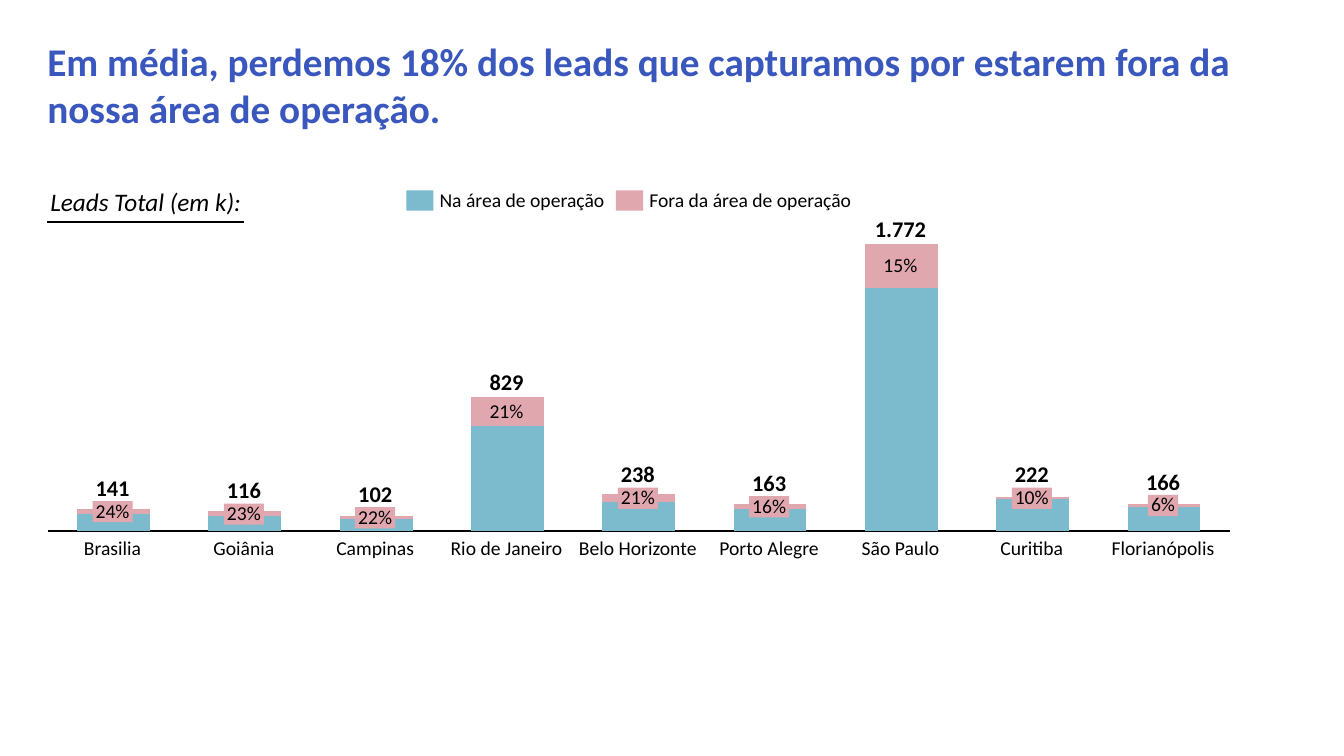
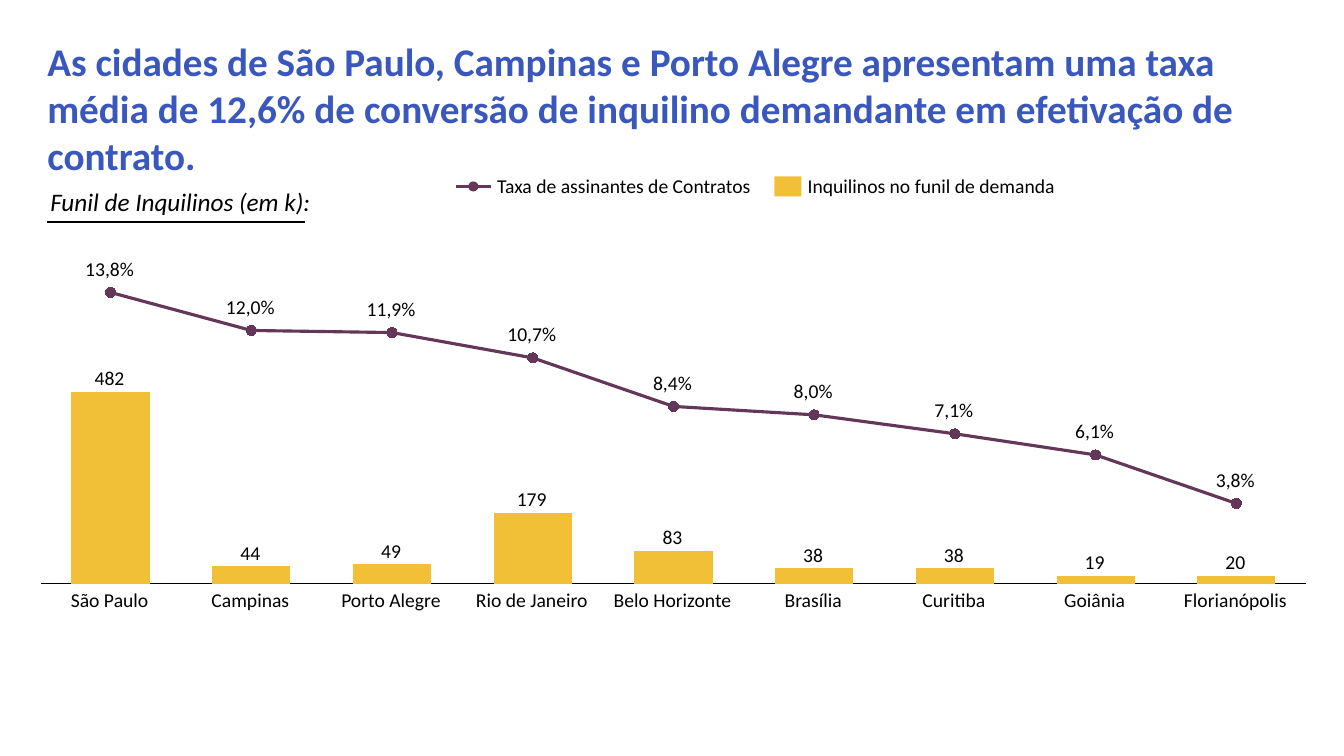
"""Build two slides on leads by city and tenant conversion by city."""
from dataclasses import dataclass

from pptx import Presentation
from pptx.chart.data import CategoryChartData
from pptx.dml.color import RGBColor
from pptx.enum.chart import XL_CHART_TYPE, XL_MARKER_STYLE, XL_TICK_LABEL_POSITION, XL_TICK_MARK
from pptx.enum.shapes import MSO_CONNECTOR, MSO_SHAPE
from pptx.enum.text import MSO_ANCHOR, MSO_AUTO_SIZE, PP_ALIGN
from pptx.oxml import parse_xml
from pptx.oxml.ns import nsdecls, qn
from pptx.util import Inches, Pt

LEFT, CENTER = PP_ALIGN.LEFT, PP_ALIGN.CENTER
TOP, MIDDLE, BOTTOM = MSO_ANCHOR.TOP, MSO_ANCHOR.MIDDLE, MSO_ANCHOR.BOTTOM
RECTANGLE, OVAL = MSO_SHAPE.RECTANGLE, MSO_SHAPE.OVAL
STRAIGHT = MSO_CONNECTOR.STRAIGHT
STACKED = XL_CHART_TYPE.COLUMN_STACKED
CIRCLE = XL_MARKER_STYLE.CIRCLE
NO_LABELS, NO_TICKS = XL_TICK_LABEL_POSITION.NONE, XL_TICK_MARK.NONE


@dataclass(frozen=True)
class Theme:
    """Colours, font and type sizes."""
    font: str = "Calibri"
    title: str = "3957BD"
    ink: str = "000000"
    paper: str = "FFFFFF"
    inside: str = "7CBBCE"
    outside: str = "E1A7AF"
    funnel: str = "F2C037"
    rate: str = "633758"
    title_size: int = 28
    heading_size: int = 18
    total_size: int = 16
    label_size: int = 14
    chart_size: int = 10


THEME = Theme()
SLIDE_W, SLIDE_H = 13.33, 7.5
ROW, TOTAL_ROW = 0.21, 0.24
GAP, MARKER_GAP = 0.02, 0.12
KEY_W, KEY_H, DOT = 0.27, 0.2, 0.1

LEADS = {
    "title": "Em média, perdemos 18% dos leads que capturamos por estarem fora da nossa área de operação.",
    "title_height": 1.04,
    "heading": "Leads Total (em k):",
    "rule_end": 2.42,
    "legend_y": 1.99,
    "legend": [("Na área de operação", 4.03, 1.63, THEME.inside, False),
               ("Fora da área de operação", 6.11, 2.0, THEME.outside, False)],
    "frame": (0.38, 2.33, 11.9, 3.03),
    "plot": (0.008, 0.03, 0.985, 0.94),
    "maximum": 118,
    "city_top": 5.34,
}
LEADS_CITIES = [
    ("Brasilia", 7, 2, 141, 24), ("Goiânia", 6, 2, 116, 23), ("Campinas", 5, 1, 102, 22),
    ("Rio de Janeiro", 43, 12, 829, 21), ("Belo Horizonte", 12, 3, 238, 21),
    ("Porto Alegre", 9, 2, 163, 16), ("São Paulo", 100, 18, 1772, 15),
    ("Curitiba", 13, 1, 222, 10), ("Florianópolis", 10, 1, 166, 6),
]
TENANTS = {
    "title": "As cidades de São Paulo, Campinas e Porto Alegre apresentam uma taxa média de 12,6% "
             "de conversão de inquilino demandante em efetivação de contrato.",
    "title_height": 1.51,
    "heading": "Funil de Inquilinos (em k):",
    "rule_end": 3.03,
    "legend_y": 1.85,
    "legend": [("Taxa de assinantes de Contratos", 4.52, 2.52, THEME.rate, True),
               ("Inquilinos no funil de demanda", 7.68, 2.45, THEME.funnel, False)],
    "frame": (0.31, 2.35, 12.74, 3.53),
    "plot": (0.007, 0.026, 0.986, 0.949),
    "maximum": 176,
    "city_top": 5.86,
}
RATE_MAXIMUM = 16
TENANT_CITIES = [
    ("São Paulo", 100, 482, 13.8), ("Campinas", 9, 44, 12.0), ("Porto Alegre", 10, 49, 11.9),
    ("Rio de Janeiro", 37, 179, 10.7), ("Belo Horizonte", 17, 83, 8.4), ("Brasília", 8, 38, 8.0),
    ("Curitiba", 8, 38, 7.1), ("Goiânia", 4, 19, 6.1), ("Florianópolis", 4, 20, 3.8),
]
CITY_WIDTHS = {
    "Brasilia": 0.58, "Brasília": 0.58, "Goiânia": 0.62, "Campinas": 0.79, "Rio de Janeiro": 1.12,
    "Belo Horizonte": 1.18, "Porto Alegre": 1.0, "São Paulo": 0.78, "Curitiba": 0.64,
    "Florianópolis": 1.03,
}


def rgb(colour):
    """Turn a hex string into a colour."""
    return RGBColor.from_string(colour)


def inches(*lengths):
    """Turn plain numbers into lengths."""
    return [Inches(length) for length in lengths]


def write(holder, words, size=THEME.label_size, colour=THEME.ink, bold=False, italic=False,
          align=LEFT, anchor=TOP, inset=0, spacing=0.9, wrap=False, grow=False):
    """Fill a shape with one formatted paragraph."""
    frame = holder.text_frame
    frame.word_wrap = wrap
    frame.auto_size = MSO_AUTO_SIZE.SHAPE_TO_FIT_TEXT if grow else MSO_AUTO_SIZE.NONE
    frame.vertical_anchor = anchor
    frame.margin_left = frame.margin_right = Inches(inset)
    frame.margin_top = frame.margin_bottom = Inches(0.05 if grow else 0)
    paragraph = frame.paragraphs[0]
    paragraph.alignment = align
    paragraph.line_spacing = spacing
    run = paragraph.add_run()
    run.text = words
    font = run.font
    font.name, font.size, font.bold, font.italic = THEME.font, Pt(size), bold, italic
    font.color.rgb = rgb(colour)


def add_text(slide, words, x, y, width, height, **style):
    """Add a text box."""
    write(slide.shapes.add_textbox(*inches(x, y, width, height)), words, **style)


def add_block(slide, kind, x, y, width, height, colour):
    """Add a flat filled shape."""
    block = slide.shapes.add_shape(kind, *inches(x, y, width, height))
    block.shadow.inherit = False
    block.fill.solid()
    block.fill.fore_color.rgb = rgb(colour)
    block.line.fill.background()
    return block


def add_rule(slide, start, end, y, colour, weight):
    """Add a horizontal line."""
    rule = slide.shapes.add_connector(STRAIGHT, *inches(start, y, end, y))
    rule.line.color.rgb = rgb(colour)
    rule.line.width = Pt(weight)
    rule._element.spPr.append(parse_xml(f"<a:effectLst {nsdecls('a')}/>"))


def label_width(words, size):
    """Estimate the width of a numeric label with its side insets."""
    ems = sum({"%": 0.72, ",": 0.25, ".": 0.25}.get(mark, 0.507) for mark in words)
    return ems * size / 72 + 0.06


def add_number(slide, words, center, bottom, fill=None, size=THEME.label_size, height=ROW,
               anchor=BOTTOM, bold=False):
    """Add a centred numeric label, optionally on a filled block."""
    width = label_width(words, size)
    box = (center - width / 2, bottom - height, width, height)
    style = dict(size=size, bold=bold, align=CENTER, anchor=anchor, inset=0.03)
    if fill:
        write(add_block(slide, RECTANGLE, *box, fill), words, **style)
    else:
        add_text(slide, words, *box, **style)


def start_slide(deck, content):
    """Add a slide with its title, underlined heading and legend."""
    slide = deck.slides.add_slide(deck.slide_layouts.get_by_name("Title Only"))
    title = slide.shapes.title
    title.left, title.top, title.width, title.height = inches(0.37, 0.32, 12.6, content["title_height"])
    running = dict(inset=0.1, spacing=1.0, wrap=True, grow=True)
    write(title, content["title"], size=THEME.title_size, colour=THEME.title, bold=True, **running)
    add_text(slide, content["heading"], 0.4, 1.8, 3.02, 0.4, size=THEME.heading_size, italic=True, **running)
    add_rule(slide, 0.47, content["rule_end"], 2.2, THEME.ink, 1.5)
    middle = content["legend_y"]
    for words, x, width, colour, is_line in content["legend"]:
        key_width = 0.35 if is_line else KEY_W
        if is_line:
            add_rule(slide, x, x + key_width, middle, colour, 2.25)
            add_block(slide, OVAL, x + (key_width - DOT) / 2, middle - DOT / 2, DOT, DOT, colour)
        else:
            add_block(slide, RECTANGLE, x, middle - KEY_H / 2, key_width, KEY_H, colour)
        add_text(slide, words, x + key_width + 0.06, middle - ROW / 2 + 0.01, width, ROW, anchor=MIDDLE)
    return slide


def style_axis(axis, colour):
    """Strip an axis down to its line."""
    axis.has_major_gridlines = False
    axis.tick_label_position = NO_LABELS
    axis.major_tick_mark = axis.minor_tick_mark = NO_TICKS
    axis.format.line.color.rgb = rgb(colour)
    axis.format.line.width = Pt(0.75)


def add_columns(slide, content, columns, colours):
    """Add a stacked column chart with a fixed plot area."""
    data = CategoryChartData()
    data.categories = [str(number + 1) for number in range(len(columns[0]))]
    for number, values in enumerate(columns, 1):
        data.add_series(f"Series {number}", values)
    chart = slide.shapes.add_chart(STACKED, *inches(*content["frame"]), data).chart
    chart.has_title = chart.has_legend = False
    chart.font.name, chart.font.size = THEME.font, Pt(THEME.chart_size)
    chart.font.color.rgb = rgb(THEME.ink)
    style_axis(chart.category_axis, THEME.ink)
    style_axis(chart.value_axis, THEME.paper)
    chart.value_axis.minimum_scale, chart.value_axis.maximum_scale = 0, content["maximum"]
    bars = chart.plots[0]
    bars.gap_width, bars.overlap, bars.vary_by_categories = 80, 100, False
    for series, colour in zip(bars.series, colours):
        series.format.fill.solid()
        series.format.fill.fore_color.rgb = rgb(colour)
    area = chart._chartSpace.chart.plotArea
    for layout in area.findall(qn("c:layout")):
        area.remove(layout)
    places = "".join(f'<c:{tag} val="{share}"/>' for tag, share in zip("xywh", content["plot"]))
    area.insert(0, parse_xml(
        f'<c:layout {nsdecls("c")}><c:manualLayout><c:layoutTarget val="inner"/>'
        f'<c:xMode val="edge"/><c:yMode val="edge"/>{places}</c:manualLayout></c:layout>'))
    return chart


def move_to_line(chart, maximum, colour):
    """Turn the last column series into a line on a right axis."""
    area = chart._chartSpace.chart.plotArea
    bars = area.find(qn("c:barChart"))
    series = bars.findall(qn("c:ser"))[-1]
    for flag in series.findall(qn("c:invertIfNegative")):
        series.remove(flag)
    lines = parse_xml(
        f'<c:lineChart {nsdecls("c")}><c:grouping val="standard"/><c:varyColors val="0"/>'
        '<c:marker val="1"/><c:axId val="501"/><c:axId val="502"/></c:lineChart>')
    lines.insert(2, series)
    bars.addnext(lines)
    no_labels = ('<c:majorTickMark val="none"/><c:minorTickMark val="none"/><c:tickLblPos val="none"/>')
    category = (
        f'<c:catAx {nsdecls("c")}><c:axId val="501"/><c:scaling><c:orientation val="minMax"/></c:scaling>'
        f'<c:delete val="1"/><c:axPos val="b"/>{no_labels}<c:crossAx val="502"/></c:catAx>')
    value = (
        f'<c:valAx {nsdecls("c", "a")}><c:axId val="502"/><c:scaling><c:orientation val="minMax"/>'
        f'<c:max val="{maximum}"/><c:min val="0"/></c:scaling><c:delete val="0"/><c:axPos val="r"/>'
        f'{no_labels}<c:spPr><a:ln w="9525"><a:solidFill><a:srgbClr val="{THEME.paper}"/></a:solidFill>'
        '</a:ln></c:spPr><c:crossAx val="501"/><c:crosses val="max"/></c:valAx>')
    last_axis = area.findall(qn("c:valAx"))[-1]
    for axis in (value, category):
        last_axis.addnext(parse_xml(axis))
    rate = chart.plots[1].series[0]
    rate.smooth = False
    rate.format.line.color.rgb = rgb(colour)
    rate.format.line.width = Pt(2.25)
    rate.marker.style, rate.marker.size = CIRCLE, 7
    rate.marker.format.fill.solid()
    rate.marker.format.fill.fore_color.rgb = rgb(colour)
    rate.marker.format.line.color.rgb = rgb(colour)


def plot_grid(content, count):
    """Return column centres, the baseline and the plot height."""
    left, top, width, height = content["frame"]
    x, y, across, down = content["plot"]
    step = width * across / count
    centers = [left + width * x + step * (number + 0.5) - 0.01 for number in range(count)]
    return centers, top + height * (y + down), height * down


def add_city(slide, city, center, top):
    """Name a city under its column."""
    width = CITY_WIDTHS[city]
    add_text(slide, city, center - width / 2, top, width, ROW, align=CENTER)


def build_leads(deck):
    """Build the slide of leads inside and outside the area."""
    slide = start_slide(deck, LEADS)
    _, inside, outside, _, _ = zip(*LEADS_CITIES)
    add_columns(slide, LEADS, (inside, outside), (THEME.inside, THEME.outside))
    centers, base, height = plot_grid(LEADS, len(LEADS_CITIES))
    unit = height / LEADS["maximum"]
    for center, (city, near, far, total, share) in zip(centers, LEADS_CITIES):
        share_bottom = base - (near + far / 2) * unit + ROW / 2
        total_bottom = min(base - (near + far) * unit - GAP, share_bottom - ROW)
        fill = THEME.outside if far * unit < ROW else None
        add_city(slide, city, center, LEADS["city_top"])
        add_number(slide, f"{share}%", center, share_bottom, fill=fill, anchor=MIDDLE)
        add_number(slide, f"{total:,}".replace(",", "."), center, total_bottom,
                   size=THEME.total_size, height=TOTAL_ROW, bold=True)


def build_tenants(deck):
    """Build the slide of tenants and contract rates."""
    slide = start_slide(deck, TENANTS)
    _, columns, _, rates = zip(*TENANT_CITIES)
    chart = add_columns(slide, TENANTS, (columns, rates), (THEME.funnel,))
    move_to_line(chart, RATE_MAXIMUM, THEME.rate)
    centers, base, height = plot_grid(TENANTS, len(TENANT_CITIES))
    for center, (city, column, tenants, rate) in zip(centers, TENANT_CITIES):
        add_city(slide, city, center, TENANTS["city_top"])
        add_number(slide, str(tenants), center, base - column * height / TENANTS["maximum"] - GAP)
        add_number(slide, f"{rate:.1f}%".replace(".", ","), center,
                   base - rate * height / RATE_MAXIMUM - MARKER_GAP)


deck = Presentation()
deck.slide_width, deck.slide_height = inches(SLIDE_W, SLIDE_H)
build_leads(deck)
build_tenants(deck)
deck.save("out.pptx")
